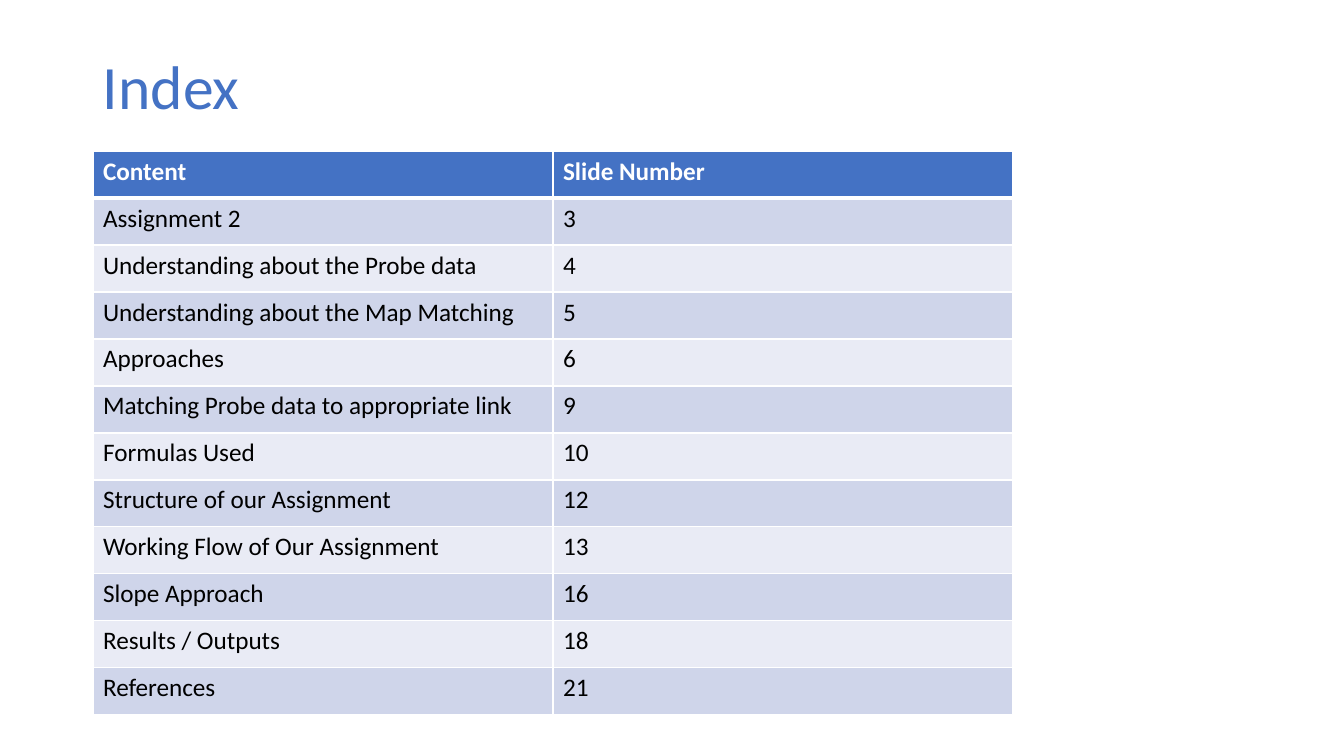
from dataclasses import dataclass

import lxml.etree
import pptx
import pptx.dml.color
import pptx.enum.text
import pptx.oxml.ns
import pptx.util

EMU_PER_PX = 914400 / 100.8


def px(length):
    return pptx.util.Emu(round(length * EMU_PER_PX))


def rgb(code):
    return pptx.dml.color.RGBColor.from_string(code)


@dataclass(frozen=True)
class Theme:
    font: str = "Calibri"
    accent: str = "4472C4"
    white: str = "FFFFFF"
    ink: str = "000000"
    bands: tuple = ("CFD5EA", "E9EBF5")
    title_size: int = 44
    body_size: int = 18
    rule: int = 1
    header_rule: int = 3


class SlideBuilder:
    def __init__(self, slide, theme):
        self.slide = slide
        self.theme = theme

    def style(self, paragraph, size, color, bold=False):
        for run in paragraph.runs:
            run.font.name = self.theme.font
            run.font.size = pptx.util.Pt(size)
            run.font.bold = bold
            run.font.color.rgb = rgb(color)

    def title(self, text, left, top, width, height):
        frame = self.slide.shapes.add_textbox(
            px(left), px(top), px(width), px(height)).text_frame
        frame.word_wrap = True
        frame.vertical_anchor = pptx.enum.text.MSO_ANCHOR.MIDDLE
        heading = frame.paragraphs[0]
        heading.text = text
        heading.line_spacing = 0.9
        self.style(heading, self.theme.title_size, self.theme.accent)

    def border(self, cell, side, width):
        properties = cell._tc.get_or_add_tcPr()
        line = lxml.etree.SubElement(
            properties, pptx.oxml.ns.qn(f"a:ln{side}"), w=str(pptx.util.Pt(width)))
        fill = lxml.etree.SubElement(line, pptx.oxml.ns.qn("a:solidFill"))
        lxml.etree.SubElement(
            fill, pptx.oxml.ns.qn("a:srgbClr"), val=self.theme.white)

    def cell(self, cell, text, row):
        theme = self.theme
        header = row == 0
        thick_side = {0: "B", 1: "T"}.get(row)
        for side in "LRTB":
            self.border(cell, side,
                        theme.header_rule if side == thick_side else theme.rule)
        cell.fill.solid()
        cell.fill.fore_color.rgb = rgb(
            theme.accent if header else theme.bands[(row - 1) % 2])
        cell.text_frame.text = text
        self.style(cell.text_frame.paragraphs[0], theme.body_size,
                   theme.white if header else theme.ink, bold=header)

    def table(self, entries, left, top, column_width, row_height):
        rows, columns = len(entries), len(entries[0])
        grid = self.slide.shapes.add_table(
            rows, columns, px(left), px(top),
            px(columns * column_width), px(rows * row_height)).table
        for column in grid.columns:
            column.width = px(column_width)
        for row, entry in enumerate(entries):
            grid.rows[row].height = px(row_height)
            for column, text in enumerate(entry):
                self.cell(grid.cell(row, column), text, row)


INDEX_ENTRIES = [
    ("Content", "Slide Number"),
    ("Assignment 2", "3"),
    ("Understanding about the Probe data", "4"),
    ("Understanding about the Map Matching", "5"),
    ("Approaches", "6"),
    ("Matching Probe data to appropriate link", "9"),
    ("Formulas Used", "10"),
    ("Structure of our Assignment", "12"),
    ("Working Flow of Our Assignment", "13"),
    ("Slope Approach", "16"),
    ("Results / Outputs", "18"),
    ("References", "21"),
]


def main():
    deck = pptx.Presentation()
    deck.slide_width, deck.slide_height = px(1344), px(756)
    blank_layout = deck.slide_layouts[6]
    index = SlideBuilder(deck.slides.add_slide(blank_layout), Theme())

    # Heading
    index.title("Index", left=93, top=17, width=1159, height=146)

    # Index of sections and their slide numbers
    index.table(INDEX_ENTRIES, left=93, top=151, column_width=460, row_height=47)

    deck.save("out.pptx")


if __name__ == "__main__":
    main()
